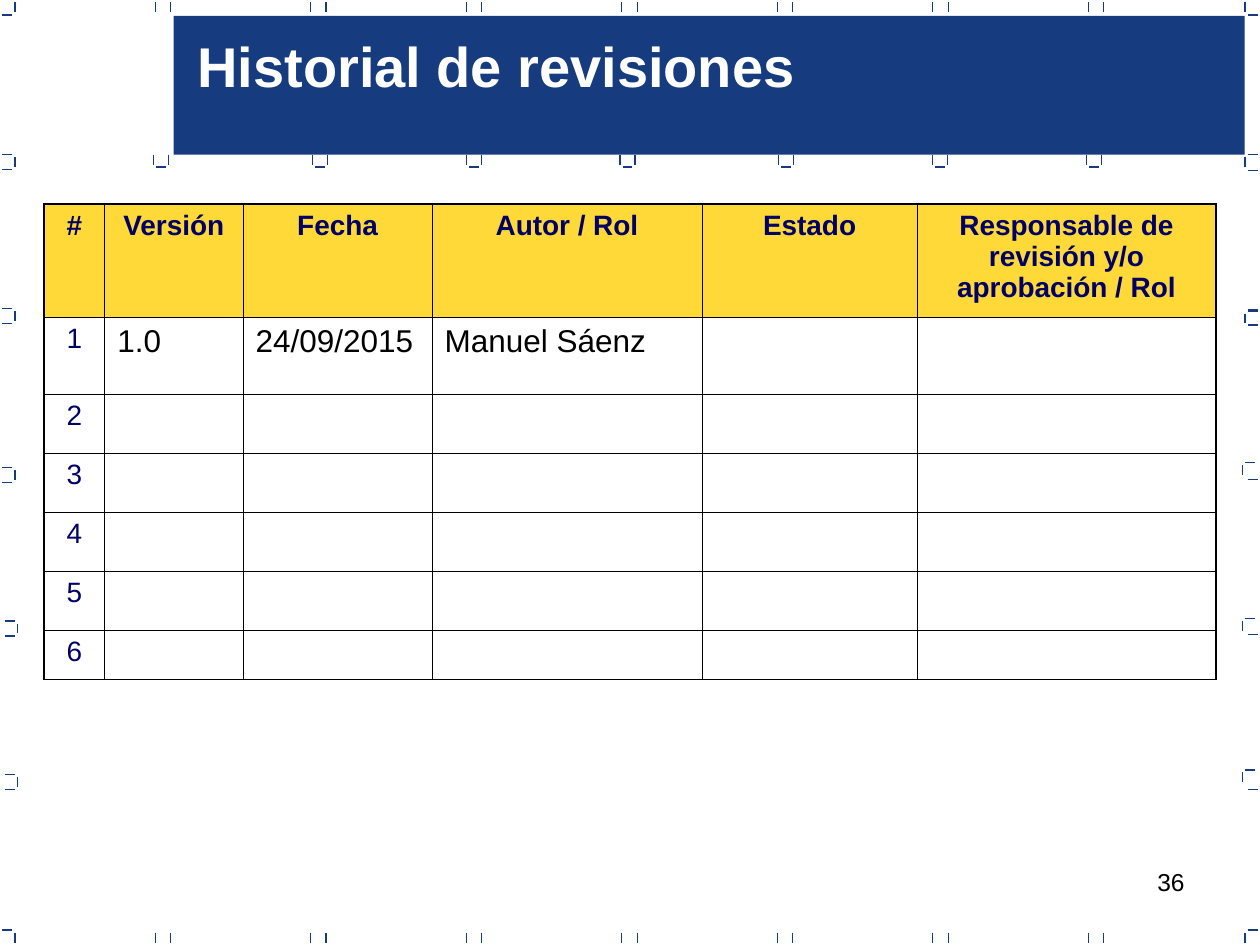
from lxml.etree import SubElement as Sub
from pptx import Presentation
from pptx.dml.color import RGBColor
from pptx.enum.shapes import MSO_CONNECTOR as Link, MSO_SHAPE as Shape
from pptx.enum.text import PP_ALIGN as Align
from pptx.oxml.ns import qn
from pptx.util import Cm, Pt

BLUE = RGBColor(0x16, 0x3B, 0x7F)
NAVY = RGBColor(0x00, 0x00, 0x66)
GOLD = RGBColor(0xFF, 0xD9, 0x37)
WHITE = RGBColor(0xFF, 0xFF, 0xFF)
BLACK = RGBColor(0x00, 0x00, 0x00)

WIDTHS = [1.22, 2.79, 3.81, 5.44, 4.34, 6.02]
HEIGHTS = [2.29, 1.55] + [1.19] * 4 + [0.99]
HEADS = ["#", "Versión", "Fecha", "Autor / Rol", "Estado",
         "Responsable de revisión y/o aprobación / Rol"]
FIRST = ["1", "1.0", "24/09/2015", "Manuel Sáenz", "", ""]
ROWS = [HEADS, FIRST] + [[str(n)] + [""] * 5 for n in range(2, 7)]


def style(para, size, color, bold=False, align=Align.LEFT):
    """Set the alignment and font of a paragraph."""
    para.alignment = align
    font = para.font
    font.name, font.size, font.bold = "Arial", Pt(size), bold
    font.color.rgb = color


def dash(slide, x, y, dx, dy):
    """Draw a short blue stroke from a point."""
    line = slide.shapes.add_connector(
        Link.STRAIGHT, Cm(x), Cm(y), Cm(x + dx), Cm(y + dy))
    line.line.color.rgb = BLUE
    line.line.width = Pt(0.75)
    Sub(line._element.spPr, qn("a:effectLst"))


def hook(slide, x, y, side, top=True, low=True):
    """Draw an upright stroke with arms reaching to one side."""
    dash(slide, x, y + 0.05, 0, 0.2)
    for gap, shown in ((0, top), (0.3, low)):
        if shown:
            dash(slide, x + 0.05 * side, y + gap, 0.2 * side, 0)


def pair(slide, x, y, gap):
    """Draw two upright strokes side by side."""
    for dx in (0, gap):
        dash(slide, x + dx, y, 0, 0.2)


def frame(slide, left, top, width, height):
    """Draw the broken border inside a box."""
    foot = top + height
    for col in range(7):
        for y in (top, foot - 0.2):
            pair(slide, left + 3.08 + 3.135 * col, y, 0.31)
    west, east = left + 0.25, left + width - 0.25
    for x, side in ((west, -1), (east, 1)):
        hook(slide, x, top - 0.05, side, top=False)
        hook(slide, x, foot - 0.25, side, low=False)
    for row, y in enumerate((3.07, 6.17, 9.37, 12.47, 15.57)):
        hook(slide, west + (0.05 if row > 2 else 0), top + y, -1)
    for row, y in enumerate((3.07, 6.22, 9.27, 12.42, 15.47)):
        hook(slide, east - (0.05 if row > 1 else 0), top + y, 1, low=False)
        dash(slide, east + 0.05, top + 3.38 + 3.12 * row, 0.2, 0)
    dash(slide, east + 0.05, top + 6.2, 0.2, 0)


def banner(slide, left, top, width, height):
    """Place the title bar and the cups that hang below it."""
    bar = slide.shapes.add_shape(
        Shape.RECTANGLE, Cm(left), Cm(top), Cm(width), Cm(height))
    bar.shadow.inherit = False
    bar.fill.solid()
    bar.fill.fore_color.rgb = BLUE
    bar.line.fill.background()
    foot = top + height
    for x in (-0.4, 2.8, 5.9, 9, 12.2, 15.3, 18.4):
        pair(slide, left + x, foot, 0.3)
        dash(slide, left + x + 0.05, foot + 0.25, 0.2, 0)
    box = slide.shapes.add_textbox(
        Cm(left + 0.23), Cm(top + 0.2), Cm(12.57), Cm(1.63))
    para = box.text_frame.paragraphs[0]
    para.text = "Historial de revisiones"
    style(para, 32, WHITE, True)


def edge(cell, sides):
    """Give a cell black borders, heavier on the outer sides."""
    props = cell._tc.get_or_add_tcPr()
    for spot, (tag, outer) in enumerate(sides.items()):
        line = Sub(props, qn("a:" + tag), w=str(Pt(1.08 if outer else 0.45)))
        fill = Sub(line, qn("a:solidFill"))
        Sub(fill, qn("a:srgbClr"), val=str(BLACK))
        props.insert(spot, line)


def grid(slide, left, top, width, height):
    """Place the table of revisions."""
    table = slide.shapes.add_table(
        len(ROWS), len(HEADS), Cm(left), Cm(top), Cm(width), Cm(height)).table
    table.first_row = table.horz_banding = False
    for col, size in zip(table.columns, WIDTHS):
        col.width = Cm(size)
    for r, (words, size) in enumerate(zip(ROWS, HEIGHTS)):
        table.rows[r].height = Cm(size)
        for c, word in enumerate(words):
            cell = table.cell(r, c)
            para = cell.text_frame.paragraphs[0]
            para.text = word
            if r == 0 or c == 0:
                style(para, 16, NAVY, r == 0, Align.CENTER)
            else:
                style(para, 18 if word else 16, BLACK)
            if r == 0:
                cell.fill.solid()
                cell.fill.fore_color.rgb = GOLD
            else:
                cell.fill.background()
            edge(cell, {"lnL": c == 0, "lnR": c == len(HEADS) - 1,
                        "lnT": r == 0, "lnB": r == len(ROWS) - 1})


def folio(slide, left, top, width, height):
    """Place the page number."""
    box = slide.shapes.add_textbox(Cm(left), Cm(top), Cm(width), Cm(height))
    box.text_frame.word_wrap = True
    para = box.text_frame.paragraphs[0]
    para.text = "36"
    style(para, 14, BLACK, align=Align.RIGHT)


def main():
    """Build the slide and save it."""
    deck = Presentation()
    deck.slide_width, deck.slide_height = Cm(25.4), Cm(19.05)
    slide = deck.slides.add_slide(deck.slide_layouts[6])
    folio(slide, 18.2, 17.35, 5.93, 1.32)
    frame(slide, 0.05, 0.05, 25.3, 18.95)
    banner(slide, 3.5, 0.32, 21.59, 2.8)
    grid(slide, 0.89, 4.11, sum(WIDTHS), sum(HEIGHTS))
    deck.save("out.pptx")


if __name__ == "__main__":
    main()
